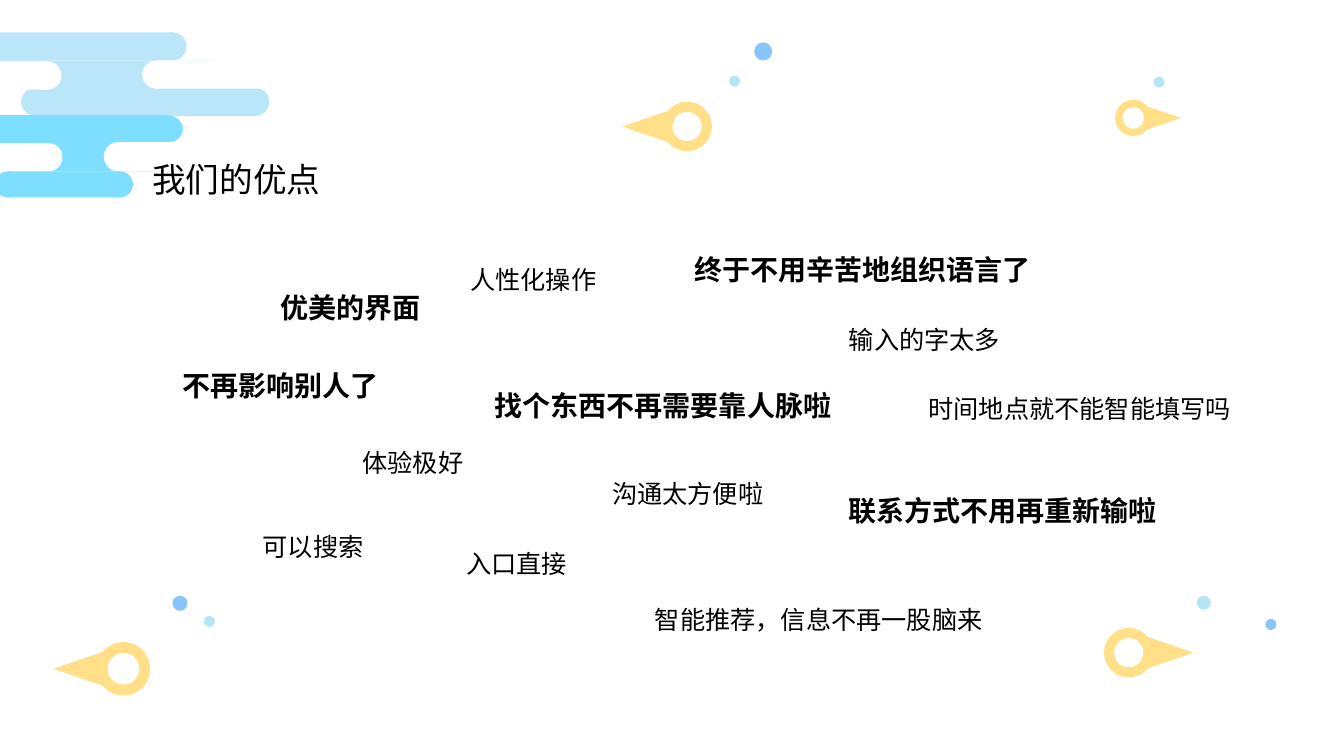
from pptx import Presentation
from pptx.dml.color import RGBColor
from pptx.enum.shapes import MSO_SHAPE
from pptx.enum.text import MSO_ANCHOR, MSO_AUTO_SIZE, PP_ALIGN
from pptx.util import Inches, Pt

PALE, SKY, WHITE = "BBE6F9", "7DDEFF", "FFFFFF"
YELLOW, BLUE, MINT = "FFDF88", "89C5FA", "B6E6F3"

# Cloud bars: left, top, width, height, cap width, colour, has left cap
CLOUD_BARS = [
    (-0.47, 0.32, 2.18, 0.28, 0.28, PALE, False),
    (0.35, 0.87, 2.18, 0.28, 0.28, PALE, True),
    (-0.06, 0.6, 2.18, 0.28, 0.28, PALE, True),
    (1.55, 0.6, 2.18, 0.28, 0.28, WHITE, True),
    (-1.71, 0.61, 2.18, 0.28, 0.28, WHITE, False),
    (-1.06, 1.14, 2.7, 0.28, 0.35, SKY, False),
    (0.4, 1.42, 1.83, 0.28, 0.24, SKY, True),
    (1.17, 1.41, 2.18, 0.29, 0.28, WHITE, True),
    (-1.7, 1.42, 2.18, 0.28, 0.28, WHITE, False),
    (0.08, 1.7, 1.11, 0.26, 0.26, SKY, True),
]

# Pins: left, top, diameter of the ring, whether the tip points left
PINS = [
    (0.96, 6.37, 0.53, True),
    (6.57, 1.01, 0.49, True),
    (10.95, 6.23, 0.49, False),
    (11.06, 0.99, 0.36, False),
]

# Dots: left, top, diameter, colour
DOTS = [
    (1.71, 5.91, 0.15, BLUE),
    (2.02, 6.11, 0.11, MINT),
    (7.48, 0.42, 0.18, BLUE),
    (7.23, 0.75, 0.11, MINT),
    (11.87, 5.91, 0.14, MINT),
    (12.55, 6.14, 0.11, BLUE),
    (11.44, 0.76, 0.11, MINT),
]

# Comments: text, left, top, width, height
KEY_COMMENTS = [
    ("优美的界面", 2.67, 2.67, 1.61, 0.61),
    ("终于不用辛苦地组织语言了", 6.76, 2.29, 3.59, 0.61),
    ("不再影响别人了", 1.69, 3.44, 2.18, 0.61),
    ("联系方式不用再重新输啦", 8.29, 4.68, 3.31, 0.61),
    ("找个东西不再需要靠人脉啦", 4.78, 3.64, 3.59, 0.61),
]
COMMENTS = [
    ("输入的字太多", 8.31, 3.02, 1.72, 0.5),
    ("人性化操作", 4.56, 2.42, 1.46, 0.5),
    ("可以搜索", 2.46, 5.07, 1.29, 0.5),
    ("体验极好", 3.49, 4.24, 1.21, 0.5),
    ("沟通太方便啦", 5.96, 4.55, 1.72, 0.56),
    ("入口直接", 4.23, 5.24, 1.79, 0.5),
    ("时间地点就不能智能填写吗", 9.06, 3.7, 3.3, 0.56),
    ("智能推荐，信息不再一股脑来", 6.33, 5.8, 3.58, 0.56),
]


def rgb(hex_colour):
    return RGBColor.from_string(hex_colour)


def add_figure(slide, kind, left, top, width, height, colour, rotation=0):
    figure = slide.shapes.add_shape(
        kind, Inches(left), Inches(top), Inches(width), Inches(height))
    figure.shadow.inherit = False
    figure.fill.solid()
    figure.fill.fore_color.rgb = rgb(colour)
    figure.line.fill.background()
    figure.rotation = rotation


def add_bar(slide, left, top, width, height, cap, colour, left_cap):
    add_figure(slide, MSO_SHAPE.RECTANGLE, left, top, width, height, colour)
    ends = [left, left + width] if left_cap else [left + width]
    for end in ends:
        add_figure(slide, MSO_SHAPE.OVAL, end - cap / 2, top, cap, height, colour)


def add_pin(slide, left, top, size, points_left):
    rotation = 270 if points_left else 90
    hole, tip_width, tip_height = 0.59 * size, 0.66 * size, 0.96 * size
    inset = (size - hole) / 2
    tip_left = left - tip_width if points_left else left + size
    add_figure(slide, MSO_SHAPE.OVAL, left, top, size, size, YELLOW)
    add_figure(slide, MSO_SHAPE.OVAL, left + inset, top + inset, hole, hole, WHITE)
    add_figure(slide, MSO_SHAPE.ISOSCELES_TRIANGLE, tip_left,
               top + (size - tip_height) / 2, tip_width, tip_height, YELLOW, rotation)


def write(frame, text, *, size, bold=False, align=PP_ALIGN.CENTER, wrap=False):
    frame.word_wrap = wrap
    frame.auto_size = MSO_AUTO_SIZE.SHAPE_TO_FIT_TEXT
    frame.vertical_anchor = MSO_ANCHOR.TOP
    paragraph = frame.paragraphs[0]
    paragraph.alignment = align
    paragraph.line_spacing = 1.5
    run = paragraph.add_run()
    run.text = text
    run.font.name = "Calibri"
    run.font.size = Pt(size)
    run.font.bold = bold
    run.font.color.rgb = rgb("000000")


def add_title(slide, text):
    title = slide.shapes.title
    title.left, title.top = Inches(1.41), Inches(1.33)
    title.width, title.height = Inches(3.28), Inches(0.64)
    write(title.text_frame, text, size=24, align=PP_ALIGN.LEFT, wrap=True)
    # Bring the title in front of the cloud
    title.element.getparent().append(title.element)


def add_comment(slide, text, left, top, width, height, **style):
    comment = slide.shapes.add_textbox(
        Inches(left), Inches(top), Inches(width), Inches(height))
    write(comment.text_frame, text, **style)


def main():
    deck = Presentation()
    deck.slide_width, deck.slide_height = Inches(13.33), Inches(7.5)
    slide = deck.slides.add_slide(deck.slide_layouts[5])

    # Decoration
    for bar in CLOUD_BARS:
        add_bar(slide, *bar)
    for pin in PINS:
        add_pin(slide, *pin)
    for left, top, size, colour in DOTS:
        add_figure(slide, MSO_SHAPE.OVAL, left, top, size, size, colour)

    # Title and comments
    add_title(slide, "我们的优点")
    for comment in KEY_COMMENTS:
        add_comment(slide, *comment, size=20, bold=True)
    for comment in COMMENTS:
        add_comment(slide, *comment, size=18)

    deck.save("out.pptx")


if __name__ == "__main__":
    main()
